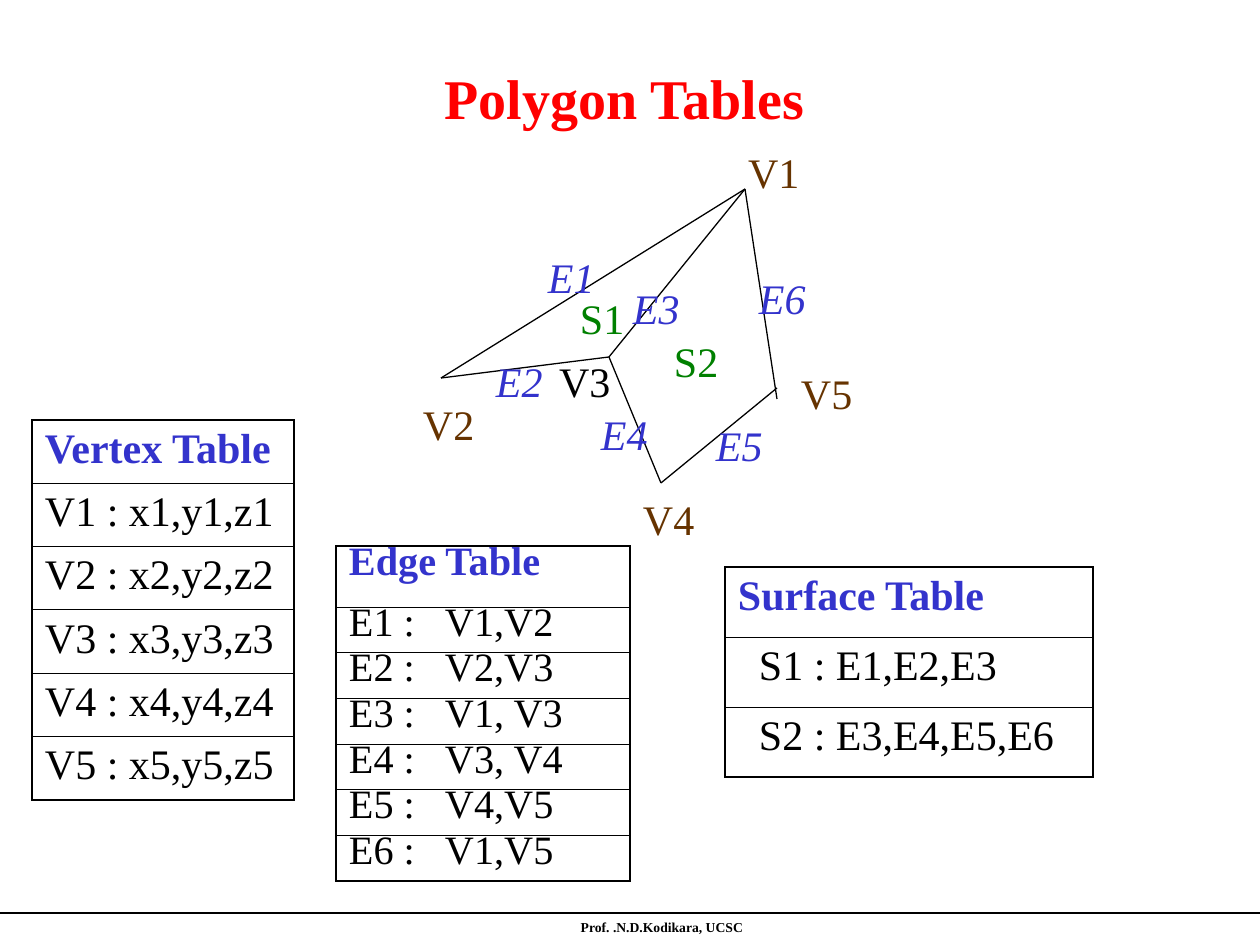
from lxml.etree import SubElement
from pptx import Presentation
from pptx.dml.color import RGBColor
from pptx.enum.shapes import MSO_CONNECTOR as Connector
from pptx.enum.text import MSO_ANCHOR as Anchor, PP_ALIGN as Align
from pptx.oxml.ns import qn
from pptx.util import Emu, Pt

SCALE = 914400 / 126
FONT = "Times New Roman"
BLACK, RED, BLUE, BROWN, GREEN = "000000", "FF0000", "3333CC", "663300", "008000"
TEXT_TOP = 6
INSET = 13


def px(length):
    return Emu(round(length * SCALE))


def color(value):
    return RGBColor.from_string(value)


def write(frame, text, size=24, fill=BLACK, bold=False, italic=False,
          align=Align.LEFT, spacing=None, tab=None):
    paragraph = frame.paragraphs[0]
    paragraph.text = text
    paragraph.alignment = align
    if spacing:
        paragraph.line_spacing = spacing
    if tab:
        properties = paragraph._p.get_or_add_pPr()
        stops = SubElement(properties, qn("a:tabLst"))
        SubElement(stops, qn("a:tab"), pos=str(px(tab)), algn="l")
    font = paragraph.runs[0].font
    font.name = FONT
    font.size = Pt(size)
    font.bold = bold
    font.italic = italic
    font.color.rgb = color(fill)


def add_text(slide, text, left, top, width, height, inset_top=TEXT_TOP, **style):
    frame = slide.shapes.add_textbox(px(left), px(top), px(width), px(height)).text_frame
    frame.word_wrap = True
    frame.margin_left = frame.margin_right = px(INSET)
    frame.margin_top, frame.margin_bottom = px(inset_top), px(TEXT_TOP)
    write(frame, text, **style)


def add_line(slide, start, end):
    line = slide.shapes.add_connector(
        Connector.STRAIGHT, *(px(value) for value in (*start, *end)))
    line.line.color.rgb = color(BLACK)
    line.line.width = Pt(0.75)
    SubElement(line._element.spPr, qn("a:effectLst"))


def set_borders(cell, is_first, is_last):
    properties = cell._tc.get_or_add_tcPr()
    widths = {"L": 1.08, "R": 1.08,
              "T": 1.08 if is_first else 0.45,
              "B": 1.08 if is_last else 0.45}
    for side, width in widths.items():
        border = SubElement(properties, qn(f"a:ln{side}"), w=str(Pt(width)))
        fill = SubElement(border, qn("a:solidFill"))
        SubElement(fill, qn("a:srgbClr"), val=BLACK)


def add_table(slide, title, entries, left, top, width, height, header,
              indent=0, **style):
    texts = [title, *entries]
    table = slide.shapes.add_table(
        len(texts), 1, px(left), px(top), px(width), px(height)).table
    table.first_row = table.horz_banding = False
    table.columns[0].width = px(width)
    for index, text in enumerate(texts):
        is_header = index == 0
        table.rows[index].height = px(header if is_header else (height - header) / len(entries))
        cell = table.cell(index, 0)
        cell.vertical_anchor = Anchor.TOP
        cell.margin_left = px(INSET + (0 if is_header else indent))
        cell.margin_right = px(INSET)
        cell.margin_top = cell.margin_bottom = px(TEXT_TOP)
        set_borders(cell, is_header, index == len(entries))
        cell.fill.background()
        write(cell.text_frame, text, fill=BLUE if is_header else BLACK,
              bold=is_header, **style)


def add_polygon(slide):
    v1, v2, v3, v4, v5 = (745, 189), (441, 378), (609, 357), (661, 483), (777, 399)
    edges = [(v1, v3), (v3, v2), (v2, v1), (v1, v5), (v3, v4), (v4, (777, 388))]
    for start, end in edges:
        add_line(slide, start, end)


def add_labels(slide):
    groups = [
        (84, {"fill": BROWN}, {"V1": (735, 136), "V5": (788, 357),
                               "V4": (630, 483), "V2": (410, 388)}),
        (84, {"fill": BLACK}, {"V3": (546, 346)}),
        (73, {"fill": BLUE, "italic": True},
         {"E2": (483, 346), "E1": (535, 242), "E3": (620, 273),
          "E6": (746, 262), "E5": (703, 410), "E4": (588, 399)}),
        (73, {"fill": GREEN}, {"S1": (567, 283), "S2": (661, 325)}),
    ]
    for width, style, labels in groups:
        for text, (left, top) in labels.items():
            add_text(slide, text, left, top, width, 63, inset_top=10, **style)


def main():
    presentation = Presentation()
    presentation.slide_width, presentation.slide_height = px(1260), px(945)
    slide = presentation.slides.add_slide(presentation.slide_layouts[6])
    add_line(slide, (0, 913), (1260, 913))
    add_text(slide, "Prof. .N.D.Kodikara, UCSC", 95, 913, 1134, 32,
             size=7.8, bold=True, align=Align.CENTER)
    add_text(slide, "Polygon Tables", 84, 53, 1081, 81, inset_top=11,
             size=32, fill=RED, bold=True, align=Align.CENTER)
    add_polygon(slide)
    add_labels(slide)
    add_table(slide, "Vertex Table", [f"V{n} : x{n},y{n},z{n}" for n in range(1, 6)],
              32, 420, 262, 380, 63)
    edges = ["V1,V2", "V2,V3", "V1, V3", "V3, V4", "V4,V5", "V1,V5"]
    add_table(slide, "Edge Table",
              [f"E{n} :\t{ends}" for n, ends in enumerate(edges, 1)],
              336, 546, 294, 335, 61, size=23, spacing=0.65, tab=96)
    add_table(slide, "Surface Table", ["S1 : E1,E2,E3", "S2 : E3,E4,E5,E6"],
              725, 567, 368, 210, 70, indent=21)
    presentation.save("out.pptx")


if __name__ == "__main__":
    main()
